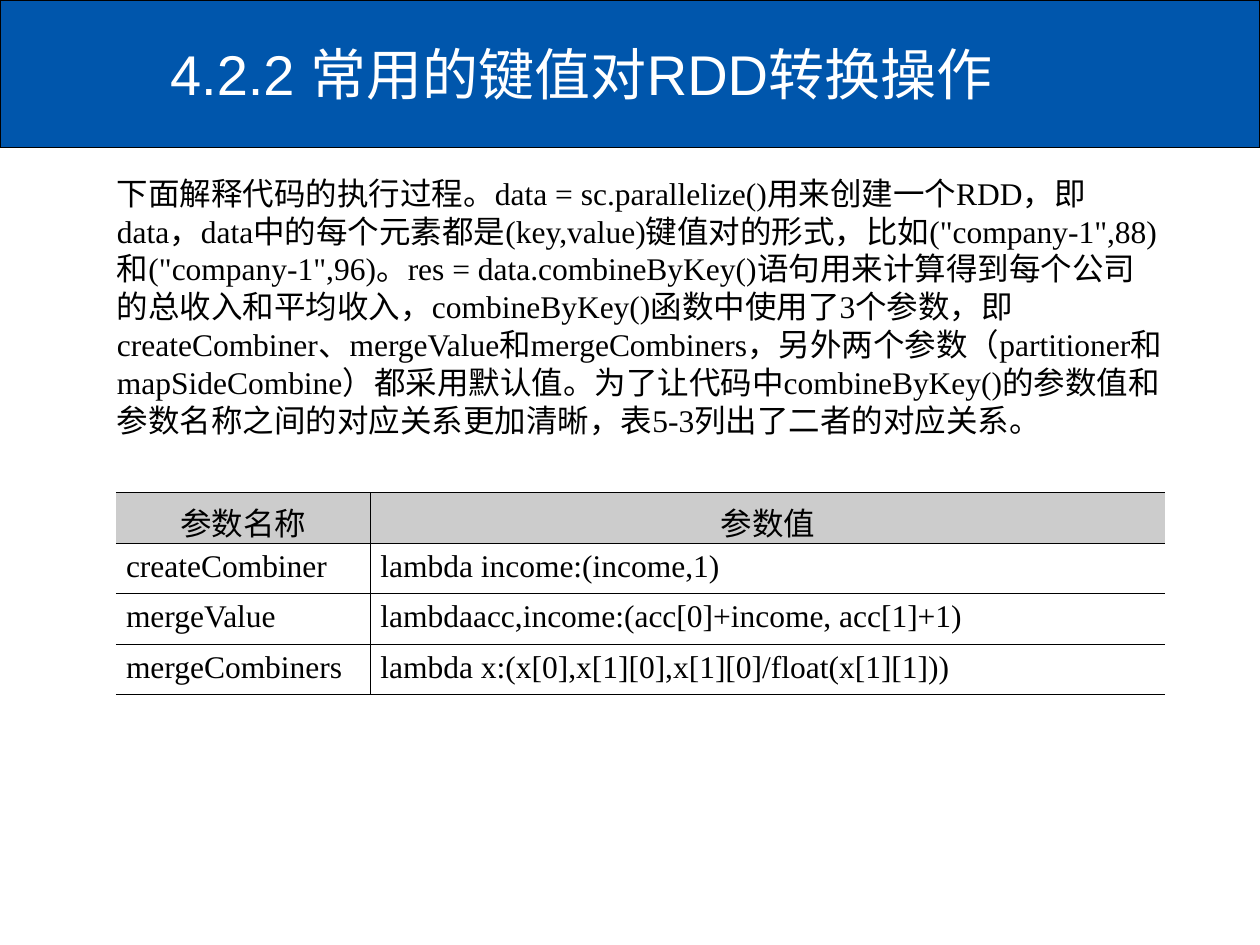
from lxml import etree
from pptx import Presentation
from pptx.dml.color import RGBColor
from pptx.enum.shapes import MSO_SHAPE
from pptx.enum.text import MSO_ANCHOR, MSO_AUTO_SIZE, PP_ALIGN
from pptx.oxml.ns import qn
from pptx.util import Inches, Pt

RECTANGLE = MSO_SHAPE.RECTANGLE
MIDDLE = MSO_ANCHOR.MIDDLE
NO_AUTOFIT, GROW = MSO_AUTO_SIZE.NONE, MSO_AUTO_SIZE.SHAPE_TO_FIT_TEXT
LEFT, CENTER = PP_ALIGN.LEFT, PP_ALIGN.CENTER

# Content
TITLE = "4.2.2 常用的键值对RDD转换操作"
# Parts alternate between the serif and the sans font
EXPLANATION = [
    '下面解释代码的执行过程。data = sc.parallelize()用来创建一个RDD，即data，'
    'data中的每个元素都是(key,value)键值对的形式，比如("company-1",88)和("company-1",96)。'
    'res = data.combineByKey()语句用来计算得到每个公司的总收入和平均收入，combineByKey()',
    "函数中使用了", "3", "个参数，即", "createCombiner", "、", "mergeValue", "和",
    "mergeCombiners", "，另外两个参数（", "partitioner", "和", "mapSideCombine",
    "）都采用默认值。为了让代码中", "combineByKey()",
    "的参数值和参数名称之间的对应关系更加清晰，表", "5-3", "列出了二者的对应关系。",
]
PARAMETERS = [
    ("参数名称", "参数值"),
    ("createCombiner", "lambda income:(income,1)"),
    ("mergeValue", "lambdaacc,income:(acc[0]+income, acc[1]+1)"),
    ("mergeCombiners", "lambda x:(x[0],x[1][0],x[1][0]/float(x[1][1]))"),
]
COLUMN_WIDTHS = (2.02, 6.31)
ROW_HEIGHT = 0.3

THEME = {
    "sans": "Arial", "serif": "Times New Roman",
    "title_size": 32, "body_size": 18, "bar_line": 0.75, "table_line": 0.45,
    "bar": "0056AC", "header": "CCCCCC", "text": "000000", "title": "FFFFFF",
}


def color(name):
    return RGBColor.from_string(THEME[name])


def box(*lengths):
    return [Inches(length) for length in lengths]


def style_font(font, face, size="body_size", tint="text"):
    font.name = THEME[face]
    font.size = Pt(THEME[size])
    font.bold = False
    font.color.rgb = color(tint)


def set_borders(cell, visible):
    """Draw the visible sides (L, R, T, B) and clear the others."""
    properties = cell._tc.get_or_add_tcPr()
    for side in "LRTB":
        line = etree.SubElement(properties, qn(f"a:ln{side}"),
                                w=str(Pt(THEME["table_line"])))
        if side in visible:
            fill = etree.SubElement(line, qn("a:solidFill"))
            etree.SubElement(fill, qn("a:srgbClr"), val=THEME["text"])
        else:
            etree.SubElement(line, qn("a:noFill"))


presentation = Presentation()
presentation.slide_width, presentation.slide_height = box(10, 7.5)
slide = presentation.slides.add_slide(presentation.slide_layouts[5])
shapes = slide.shapes

# Title bar, placed behind the title
bar = shapes.add_shape(RECTANGLE, *box(0, 0, 10, 1.17))
bar.shadow.inherit = False
bar.fill.solid()
bar.fill.fore_color.rgb = color("bar")
bar.line.color.rgb = color("text")
bar.line.width = Pt(THEME["bar_line"])
shapes._spTree.insert(2, bar._element)

# Title
title = shapes.title
title.left, title.top, title.width, title.height = box(1.25, 0.08, 8.75, 1)
title.text_frame.text = TITLE
title.text_frame.auto_size = NO_AUTOFIT
title.text_frame.vertical_anchor = MIDDLE
paragraph = title.text_frame.paragraphs[0]
paragraph.alignment = LEFT
style_font(paragraph.runs[0].font, "sans", "title_size", "title")

# Explanation
explanation = shapes.add_textbox(*box(0.83, 1.33, 8.52, 2.5))
explanation.text_frame.word_wrap = True
explanation.text_frame.auto_size = GROW
paragraph = explanation.text_frame.paragraphs[0]
for index, part in enumerate(EXPLANATION):
    run = paragraph.add_run()
    run.text = part
    style_font(run.font, "sans" if index % 2 else "serif")

# Parameter table
table = shapes.add_table(
    len(PARAMETERS), len(COLUMN_WIDTHS),
    *box(0.92, 3.91, sum(COLUMN_WIDTHS), ROW_HEIGHT * len(PARAMETERS))).table
table.first_row = table.horz_banding = False
for column, width in zip(table.columns, COLUMN_WIDTHS):
    column.width = Inches(width)
for row_index, values in enumerate(PARAMETERS):
    is_header = row_index == 0
    table.rows[row_index].height = Inches(ROW_HEIGHT)
    for column_index, value in enumerate(values):
        cell = table.cell(row_index, column_index)
        cell.margin_left = cell.margin_right = Inches(0.08)
        cell.margin_top = cell.margin_bottom = Inches(0.05)
        set_borders(cell, "LTB" if column_index else "RTB")
        if is_header:
            cell.fill.solid()
            cell.fill.fore_color.rgb = color("header")
        else:
            cell.fill.background()
        paragraph = cell.text_frame.paragraphs[0]
        paragraph.text = value
        paragraph.alignment = CENTER if is_header else LEFT
        style_font(paragraph.runs[0].font, "sans" if is_header else "serif")

presentation.save("out.pptx")
